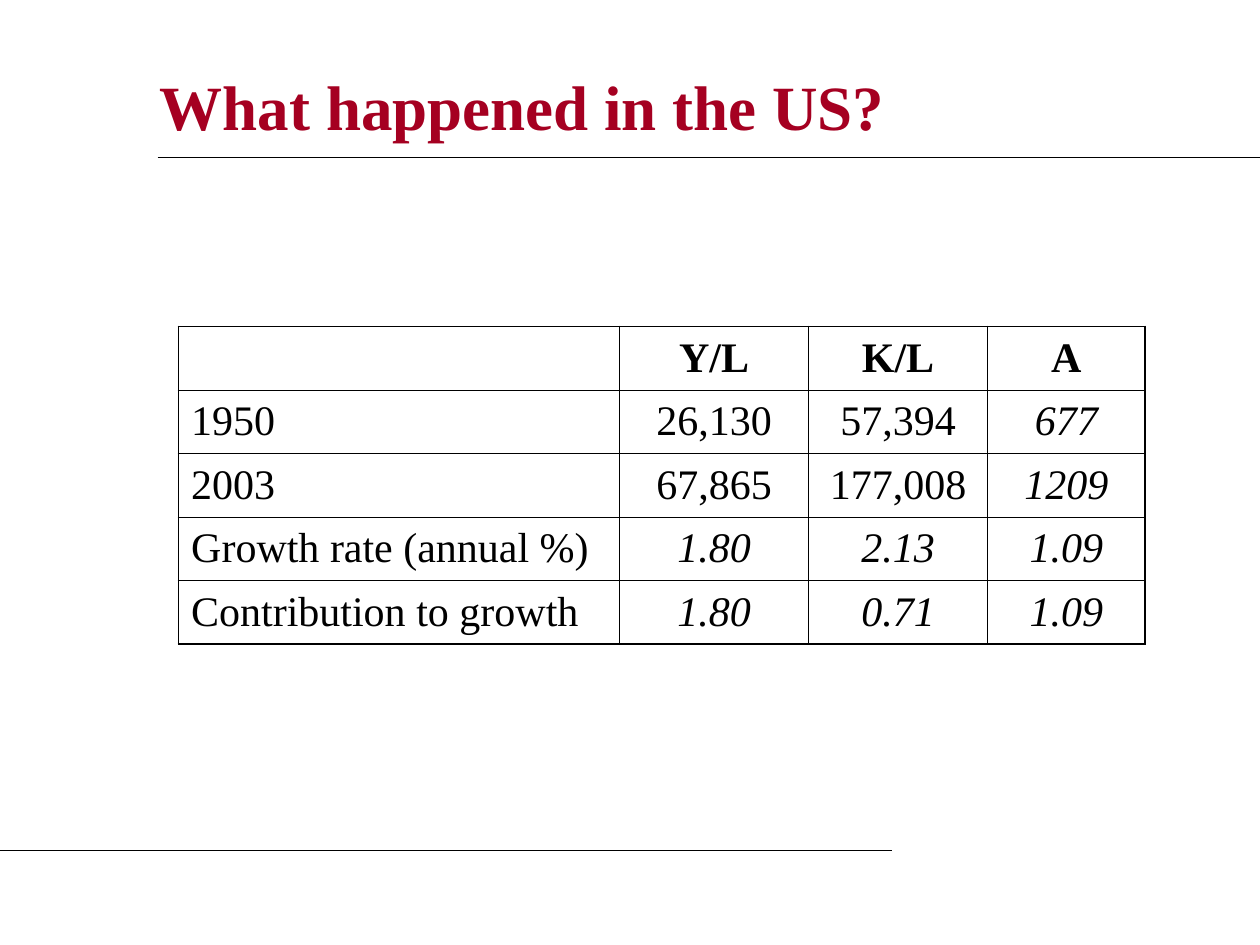
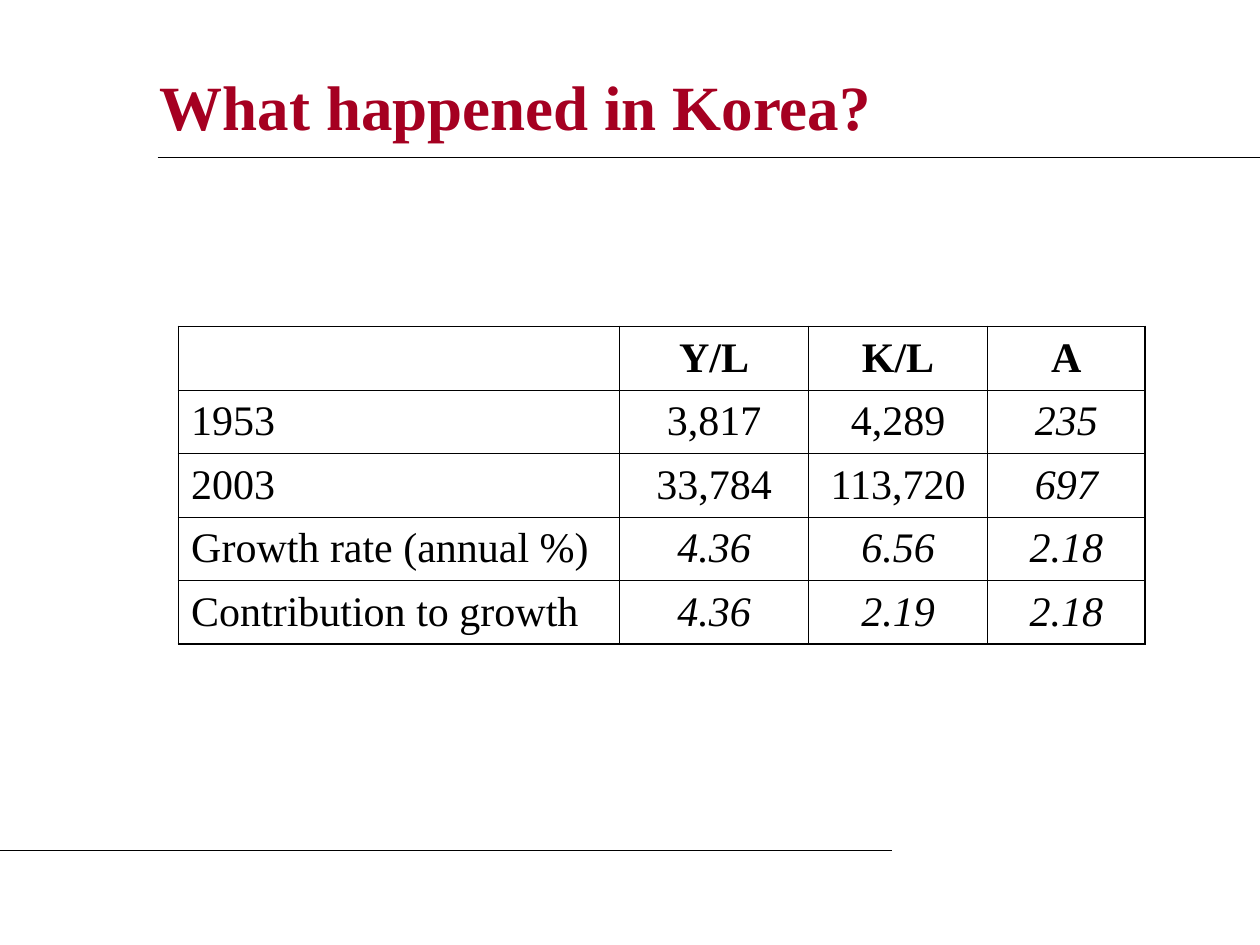
from lxml import etree
from pptx import Presentation
from pptx import util as u
from pptx.dml import color
from pptx.enum import shapes, text
from pptx.oxml import ns

# Shared look
FONT = "Times New Roman"
RED, BLACK, WHITE = "A50021", "000000", "FFFFFF"
TITLE_FORMAT = {"name": FONT, "size": u.Pt(36), "bold": True}
CELL_FORMAT = {"name": FONT, "size": u.Pt(24)}
TITLE_BOX = {"left": 2.97, "top": 0.64, "width": 21.59, "height": 2.97}
RULES = [(3.18, 25.4, 3.18), (0, 17.98, 17.15)]  # start, end, height on the page
THIN, THICK = 0.45, 1.08

# Table layout
TABLE_LEFT, TABLE_TOP = 3.6, 6.58
COLUMN_WIDTHS = [8.89, 3.81, 3.61, 3.17]
ROW_HEIGHT = 1.28
HEADINGS = ["", "Y/L", "K/L", "A"]
FIRST_RATE_ROW = 3

COUNTRIES = {
    "What happened in the US?": [
        ["1950", "26,130", "57,394", "677"],
        ["2003", "67,865", "177,008", "1209"],
        ["Growth rate (annual %)", "1.80", "2.13", "1.09"],
        ["Contribution to growth", "1.80", "0.71", "1.09"],
    ],
    "What happened in Korea?": [
        ["1953", "3,817", "4,289", "235"],
        ["2003", "33,784", "113,720", "697"],
        ["Growth rate (annual %)", "4.36", "6.56", "2.18"],
        ["Contribution to growth", "4.36", "2.19", "2.18"],
    ],
}


def rgb(value):
    return color.RGBColor.from_string(value)


def set_attributes(target, values):
    for name, value in values.items():
        setattr(target, name, value)


def write(para, words, ink, values):
    span = para.add_run()
    span.text = words
    set_attributes(span.font, values)
    span.font.color.rgb = rgb(ink)


def add_title(page, words):
    box = page.shapes.title
    set_attributes(box, {name: u.Cm(size) for name, size in TITLE_BOX.items()})
    box.text_frame.vertical_anchor = text.MSO_ANCHOR.MIDDLE
    para = box.text_frame.paragraphs[0]
    para.alignment = text.PP_ALIGN.LEFT
    write(para, words, RED, TITLE_FORMAT)


def add_rule(page, start, end, height):
    rule = page.shapes.add_connector(
        shapes.MSO_CONNECTOR.STRAIGHT, u.Cm(start), u.Cm(height), u.Cm(end), u.Cm(height))
    rule.line.color.rgb = rgb(BLACK)
    rule.line.width = u.Pt(0.75)
    etree.SubElement(rule._element.spPr, ns.qn("a:effectLst"))


def add_borders(cell, outer_sides):
    """Draw thin borders, with thick ones on the outer sides of the table."""
    properties = cell._tc.get_or_add_tcPr()
    for side in "LRTB":
        width = u.Pt(THICK if side in outer_sides else THIN)
        border = etree.SubElement(properties, ns.qn(f"a:ln{side}"), w=str(int(width)))
        fill = etree.SubElement(border, ns.qn("a:solidFill"))
        etree.SubElement(fill, ns.qn("a:srgbClr"), val=str(rgb(BLACK)))


def add_growth_table(page, rows):
    frame = page.shapes.add_table(
        len(rows), len(COLUMN_WIDTHS), u.Cm(TABLE_LEFT), u.Cm(TABLE_TOP),
        u.Cm(sum(COLUMN_WIDTHS)), u.Cm(ROW_HEIGHT * len(rows)))
    table = frame.table
    set_attributes(table, {"first_row": False, "horz_banding": False})
    for column, width in zip(table.columns, COLUMN_WIDTHS):
        column.width = u.Cm(width)

    last_row, last_col = len(rows) - 1, len(COLUMN_WIDTHS) - 1
    for row, values in enumerate(rows):
        table.rows[row].height = u.Cm(ROW_HEIGHT)
        for col, words in enumerate(values):
            cell = table.cell(row, col)
            cell.vertical_anchor = text.MSO_ANCHOR.MIDDLE
            edges = {"L": col == 0, "R": col == last_col, "T": row == 0, "B": row == last_row}
            add_borders(cell, [side for side, outer in edges.items() if outer])
            cell.fill.background()
            if not words:
                continue
            para = cell.text_frame.paragraphs[0]
            para.space_before = u.Pt(6)
            para.alignment = text.PP_ALIGN.CENTER if col else text.PP_ALIGN.LEFT
            # Computed figures are italic: the A column and the rate rows
            computed = row > 0 and (col == last_col or (col > 0 and row >= FIRST_RATE_ROW))
            write(para, words, BLACK, {**CELL_FORMAT, "bold": row == 0, "italic": computed})


def main():
    deck = Presentation()
    set_attributes(deck, {"slide_width": u.Cm(25.4), "slide_height": u.Cm(19.05)})
    background = deck.slide_master.background.fill
    background.solid()
    background.fore_color.rgb = rgb(WHITE)
    title_only = deck.slide_layouts.get_by_name("Title Only")

    for title, figures in COUNTRIES.items():
        page = deck.slides.add_slide(title_only)
        add_title(page, title)
        for rule in RULES:
            add_rule(page, *rule)
        add_growth_table(page, [HEADINGS] + figures)

    deck.save("out.pptx")


if __name__ == "__main__":
    main()
